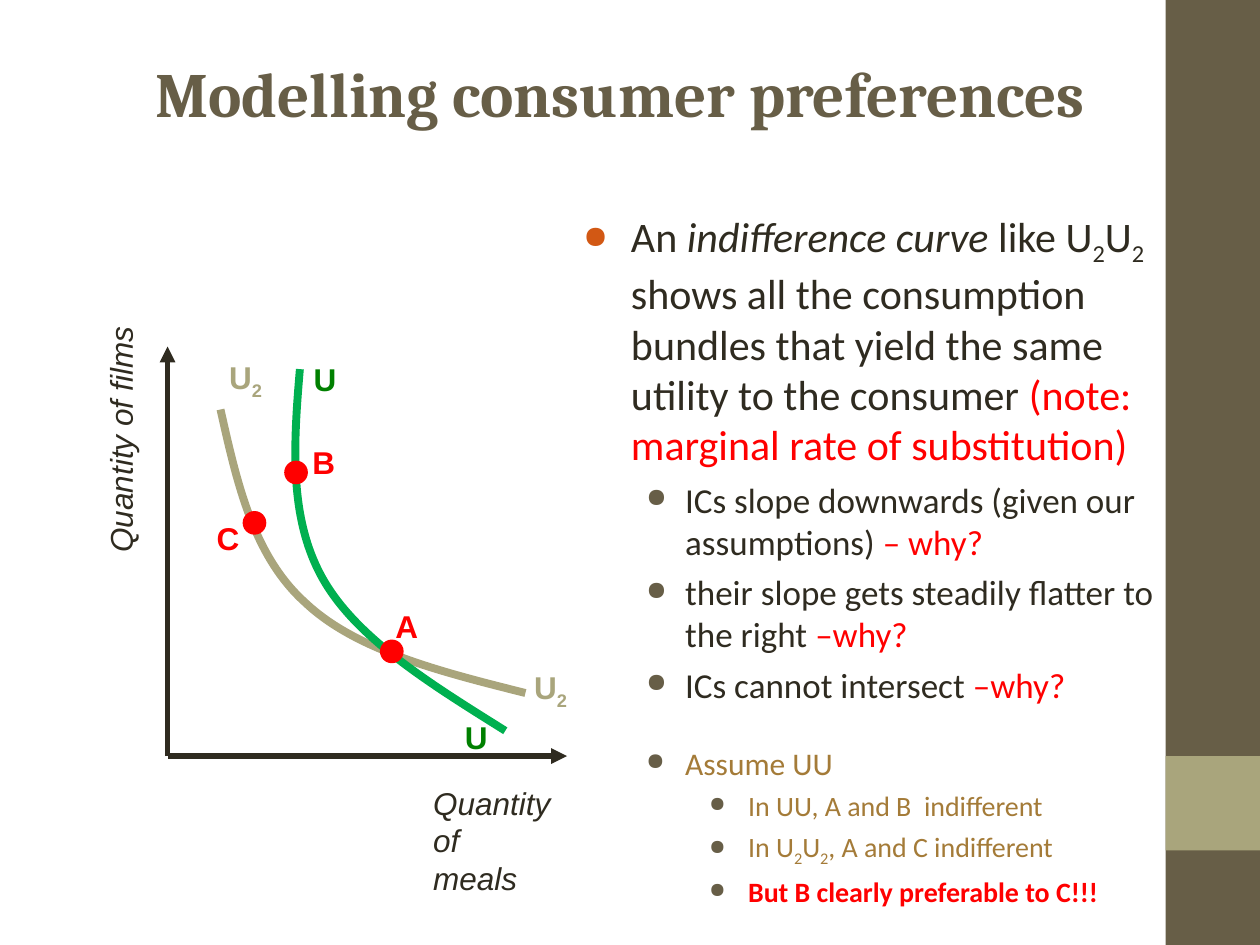
"""Build a slide on indifference curves with a diagram and a bulleted list."""
from dataclasses import dataclass

from lxml.etree import SubElement
from pptx import Presentation
from pptx.dml.color import RGBColor
from pptx.enum.shapes import MSO_CONNECTOR as Connector, MSO_SHAPE as Shape
from pptx.enum.text import MSO_ANCHOR as Anchor, MSO_AUTO_SIZE as AutoSize, PP_ALIGN as Align
from pptx.oxml.ns import qn
from pptx.util import Inches, Pt


@dataclass(frozen=True)
class Theme:
    """Colours, fonts and type sizes of the slide."""
    ink: str = "2F2B20"
    olive: str = "675E47"
    sand: str = "A9A57C"
    rust: str = "D25814"
    ochre: str = "A47B38"
    red: str = "FF0000"
    curve_green: str = "00B050"
    label_green: str = "008000"
    heading: str = "Cambria"
    body: str = "Calibri"
    labels: str = "Arial"
    title_size: int = 36
    label_size: int = 18


@dataclass(frozen=True)
class Level:
    """Indents in columns, type size and bullet colour of a list level."""
    margin: float
    hanging: float
    size: int
    bullet: str


THEME = Theme()
LEVELS = (
    Level(0.38, 0.38, 24, THEME.rust),
    Level(0.81, 0.31, 20, THEME.olive),
    Level(1.31, 0.31, 16, THEME.olive),
)
COLUMNS, ROWS = 10, 7.5


class SlideBuilder:
    """Draws styled elements on one slide, measured in grid columns and rows."""

    def __init__(self, deck, theme):
        """Open a title-only page and size its grid."""
        self.theme = theme
        self.page = deck.slides.add_slide(deck.slide_layouts[5])
        self.column = deck.slide_width / COLUMNS
        self.row = deck.slide_height / ROWS

    def place(self, *lengths):
        """Turn alternating columns and rows into slide lengths."""
        units = (self.column, self.row)
        return [round(length * units[i % 2]) for i, length in enumerate(lengths)]

    def style(self, span, face, size, color, bold=False, italic=False, subscript=False):
        """Format one run of text."""
        span.font.name = face
        span.font.size = Pt(size)
        span.font.color.rgb = RGBColor.from_string(color)
        span.font.bold = bold
        span.font.italic = italic
        if subscript:
            span._r.get_or_add_rPr().set("baseline", "-25000")

    def title(self, text, *area):
        """Move and format the title placeholder."""
        box = self.page.shapes.title
        box.left, box.top, box.width, box.height = self.place(*area)
        frame = box.text_frame
        frame.text = text
        frame.auto_size = AutoSize.NONE
        frame.vertical_anchor = Anchor.TOP
        para = frame.paragraphs[0]
        para.alignment = Align.CENTER
        self.style(para.runs[0], self.theme.heading, self.theme.title_size,
                   self.theme.olive, bold=True)

    def block(self, kind, area, fill, outline=0):
        """Add a filled preset shape, outlined in its own colour if asked."""
        shape = self.page.shapes.add_shape(kind, *self.place(*area))
        shape.shadow.inherit = False
        shape.fill.solid()
        shape.fill.fore_color.rgb = RGBColor.from_string(fill)
        if outline:
            shape.line.color.rgb = RGBColor.from_string(fill)
            shape.line.width = Pt(outline)
        else:
            shape.line.fill.background()

    def axis(self, start, end):
        """Add an arrow from start to end."""
        line = self.page.shapes.add_connector(Connector.STRAIGHT, *self.place(*start, *end))
        line.line.color.rgb = RGBColor.from_string(self.theme.ink)
        line.line.width = Pt(3)
        SubElement(line.line._get_or_add_ln(), qn("a:tailEnd"), type="triangle")
        SubElement(line._element.spPr, qn("a:effectLst"))

    def curve(self, points, color):
        """Add an open curve of cubic segments through a start and triples of points."""
        start, *rest = [self.place(*point) for point in points]
        outline = self.page.shapes.build_freeform(*start)
        outline.add_line_segments(rest, close=False)
        shape = outline.convert_to_shape()
        shape.shadow.inherit = False
        shape.fill.background()
        shape.line.color.rgb = RGBColor.from_string(color)
        shape.line.width = Pt(4.5)
        steps = list(shape._element.iter(qn("a:lnTo")))
        for i in range(0, len(steps), 3):
            cubic = SubElement(steps[i].getparent(), qn("a:cubicBezTo"))
            for step in steps[i:i + 3]:
                cubic.append(step[0])
                step.getparent().remove(step)

    def label(self, text, area, color, subscript="", italic=False, rotation=0):
        """Add an unwrapped diagram label, bold unless italic."""
        box = self.page.shapes.add_textbox(*self.place(*area))
        box.rotation = rotation
        frame = box.text_frame
        frame.word_wrap = False
        frame.text = text
        look = (self.theme.labels, self.theme.label_size, color, not italic, italic)
        for para in frame.paragraphs:
            for span in para.runs:
                self.style(span, *look)
        if subscript:
            span = frame.paragraphs[0].add_run()
            span.text = subscript
            self.style(span, *look, subscript=True)

    def bullet_list(self, items, area):
        """Add a bulleted list of (level, space before, size, spans) items."""
        frame = self.page.shapes.add_textbox(*self.place(*area)).text_frame
        frame.word_wrap = True
        for i, (depth, space, size, spans) in enumerate(items):
            para = frame.add_paragraph() if i else frame.paragraphs[0]
            para.level = depth
            if i:
                para.space_before = Pt(space)
            self.bullet(para, LEVELS[depth])
            for text, color, look in spans:
                span = para.add_run()
                span.text = text
                self.style(span, self.theme.body, size or LEVELS[depth].size, color,
                           **({look: True} if look else {}))

    def bullet(self, para, level):
        """Give a paragraph its hanging indent and round bullet."""
        props = para._p.get_or_add_pPr()
        props.set("marL", str(round(level.margin * self.column)))
        props.set("indent", str(-round(level.hanging * self.column)))
        SubElement(SubElement(props, qn("a:buClr")), qn("a:srgbClr"), val=level.bullet)
        SubElement(props, qn("a:buSzPct"), val="75000")
        SubElement(props, qn("a:buChar"), char="●")


def curve_name(color):
    """Return the spans that spell U2U2 with subscripts."""
    return [("U", color, ""), ("2", color, "subscript")] * 2


def main():
    """Build and save the slide."""
    ink, red, ochre, sand, green = (THEME.ink, THEME.red, THEME.ochre, THEME.sand,
                                    THEME.label_green)
    deck = Presentation()
    deck.slide_width, deck.slide_height = Inches(COLUMNS), Inches(ROWS)
    page = SlideBuilder(deck, THEME)

    page.block(Shape.RECTANGLE, (9.25, 0, 0.75, ROWS), THEME.olive)
    page.block(Shape.RECTANGLE, (9.25, 6, 0.75, 0.75), sand)
    page.title("Modelling consumer preferences", 0.67, 0.38, 8.5, 1.21)

    page.bullet_list([
        (0, 0, None, [("An ", ink, ""), ("indifference curve", ink, "italic"),
                      (" like ", ink, ""), *curve_name(ink),
                      (" shows all the consumption bundles that yield the same utility"
                       " to the consumer ", ink, ""),
                      ("(note: marginal rate of substitution)", red, "")]),
        (1, 5, None, [("ICs slope downwards (given our assumptions) ", ink, ""),
                      ("– why?", red, "")]),
        (1, 5, None, [("their slope gets steadily flatter to the right ", ink, ""),
                      ("–why?", red, "")]),
        (1, 5, None, [("ICs cannot intersect ", ink, ""), ("–why?", red, "")]),
        (1, 22, 18, [("Assume UU", ochre, "")]),
        (2, 4, None, [("In UU, A and B  indifferent", ochre, "")]),
        (2, 4, None, [("In ", ochre, ""), *curve_name(ochre),
                      (", A and C indifferent", ochre, "")]),
        (2, 4, None, [("But B clearly preferable to C!!!", red, "bold")]),
    ], (4.53, 1.62, 4.8, 4.58))

    origin = (1.33, 6)
    for tip in ((1.33, 2.75), (4.5, 6)):
        page.axis(origin, tip)
    page.label("Quantity\nof meals", (3.34, 6.17, 1.14, 0.7), ink, italic=True)
    page.label("Quantity of films", (-0.04, 3.29, 1.99, 0.4), ink, italic=True, rotation=270)

    page.curve([(1.75, 3.25), (1.88, 3.83), (2.01, 4.41), (2.42, 4.78),
                (2.82, 5.16), (3.49, 5.33), (4.17, 5.5)], sand)
    page.curve([(2.38, 2.93), (2.33, 3.52), (2.29, 4.11), (2.56, 4.59),
                (2.83, 5.07), (3.42, 5.43), (4.01, 5.8)], THEME.curve_green)
    for left, top in ((1.72, 2.79), (4.14, 5.25)):
        page.label("U", (left, top, 0.46, 0.44), sand, subscript="2")
    for left, top in ((2.39, 2.81), (3.59, 5.65)):
        page.label("U", (left, top, 0.38, 0.4), green)

    bundles = {"B": (2.27, 3.67, 2.38, 3.47), "C": (1.94, 4.07, 1.62, 4.07),
               "A": (3.03, 5.09, 3.04, 4.77)}
    for name, (left, top, label_left, label_top) in bundles.items():
        page.block(Shape.OVAL, (left, top, 0.16, 0.16), red, outline=2)
        page.label(name, (label_left, label_top, 0.38, 0.4), red)

    deck.save("out.pptx")


if __name__ == "__main__":
    main()
